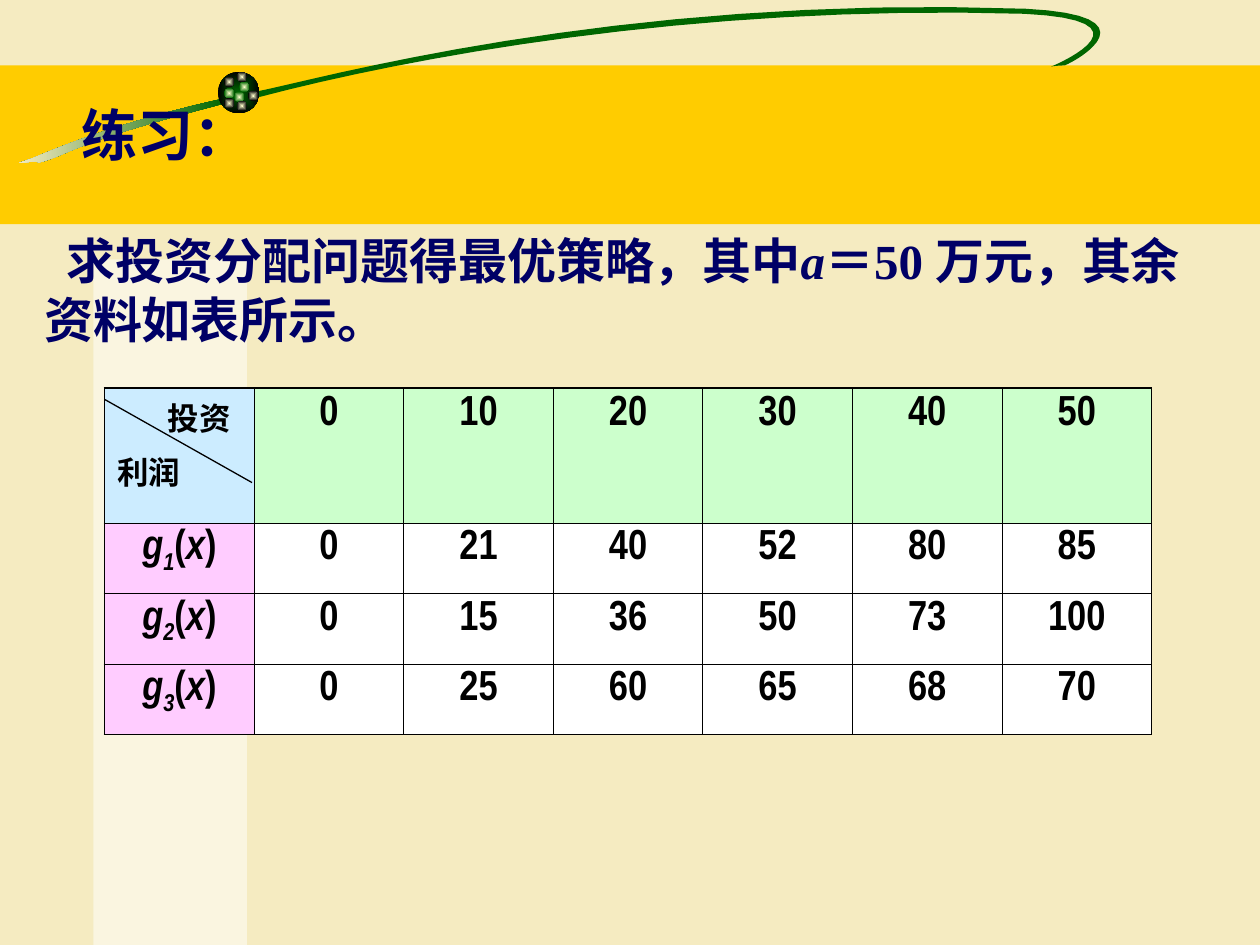
"""Build the investment allocation exercise slide with its profit table."""
import pptx
import pptx.dml.color
import pptx.enum.shapes
import pptx.enum.text
import pptx.oxml
import pptx.oxml.ns
import pptx.util

Inches, Pt = pptx.util.Inches, pptx.util.Pt
RGBColor = pptx.dml.color.RGBColor
SHAPE = pptx.enum.shapes.MSO_SHAPE
ALIGN = pptx.enum.text.PP_ALIGN
qn = pptx.oxml.ns.qn
NS = pptx.oxml.ns.nsdecls("a")

CREAM = RGBColor(0xF5, 0xEB, 0xC1)
GOLD = RGBColor(0xFF, 0xCC, 0x00)
GREEN = RGBColor(0x00, 0x66, 0x00)
GLOW = RGBColor(0xFF, 0xFF, 0xCC)
NAVY = RGBColor(0x00, 0x00, 0x66)
BLACK = RGBColor(0x00, 0x00, 0x00)
WHITE = RGBColor(0xFF, 0xFF, 0xFF)
SKY = RGBColor(0xCC, 0xEC, 0xFF)
MINT = RGBColor(0xCC, 0xFF, 0xCC)
PINK = RGBColor(0xFF, 0xCC, 0xFF)
SERIF, NARROW = "Times New Roman", "Arial Narrow"

HEADING = "练习："
QUESTION = [("求投资分配问题得最优策略，其中", False), ("a", True),
            ("＝50 万元，其余资料如表所示。", False)]
CORNER = [("投资", 0.4, 0), ("利润", 0, 4.5)]
INVESTMENTS = [0, 10, 20, 30, 40, 50]
PROFITS = [[0, 21, 40, 52, 80, 85], [0, 15, 36, 50, 73, 100], [0, 25, 60, 65, 68, 70]]

TABLE_LEFT, TABLE_TOP, TABLE_WIDTH = 0.83, 3.08, 8.31
ROW_HEIGHTS = [1.07, 0.56, 0.56, 0.56]
OUTER, INNER = 1.08, 0.45

TAIL = [(1.78, 0.78), [(0.91, 0.98), (0.49, 1.16), (0.25, 1.26)],
        [(0.01, 1.34), (0.26, 1.26), (0.31, 1.29)],
        [(0.57, 1.22), (0.57, 1.13), (1.79, 0.82)]]
LOOP = [(2.02, 0.73), [(2.46, 0.65), (4.86, -0.05), (8.14, 0.07)],
        [(9.17, 0.12), (8.57, 0.47), (8.45, 0.52)],
        [(8.45, 0.52), (8.38, 0.52), (8.34, 0.53)],
        [(8.44, 0.49), (9.16, 0.16), (8.13, 0.11)],
        [(5.48, 0.03), (3.2, 0.47), (2.06, 0.77)]]
BALL = (1.73, 0.57, 0.33, GREEN, BLACK)
SPOTS = [(1.9, 0.65, GREEN), (1.78, 0.61, BLACK), (1.78, 0.7, GREEN),
         (1.86, 0.73, GREEN), (1.97, 0.72, BLACK), (1.88, 0.8, BLACK),
         (1.78, 0.78, BLACK), (1.88, 0.57, BLACK)]


def plain(shape, color):
    shape.shadow.inherit = False
    shape.line.fill.background()
    shape.fill.solid()
    shape.fill.fore_color.rgb = color
    return shape


def shade(shape, start, end):
    shape.fill.gradient()
    for stop, color, position in zip(shape.fill.gradient_stops, (start, end), (0, 1)):
        stop.color.rgb = color
        stop.position = position


def add_rectangle(slide, left, top, width, height, color):
    box = map(Inches, (left, top, width, height))
    return plain(slide.shapes.add_shape(SHAPE.RECTANGLE, *box), color)


def add_curve(slide, start, *segments, steps=16):
    points, current = [], start
    for c1, c2, end in segments:
        for t in (i / steps for i in range(1, steps + 1)):
            weights = ((1 - t) ** 3, 3 * t * (1 - t) ** 2, 3 * t * t * (1 - t), t ** 3)
            points.append([Inches(sum(w * p[axis] for w, p in
                                      zip(weights, (current, c1, c2, end))))
                           for axis in (0, 1)])
        current = end
    builder = slide.shapes.build_freeform(Inches(start[0]), Inches(start[1]))
    builder.add_line_segments(points, close=True)
    return plain(builder.convert_to_shape(), GREEN)


def add_ball(slide, left, top, size, center, rim):
    box = map(Inches, (left, top, size, size))
    ball = plain(slide.shapes.add_shape(SHAPE.OVAL, *box), center)
    shade(ball, center, rim)
    linear = ball._element.spPr.find(qn("a:gradFill")).find(qn("a:lin"))
    linear.getparent().replace(linear, pptx.oxml.parse_xml(
        f'<a:path {NS} path="rect"><a:fillToRect l="50000" t="50000" r="50000" b="50000"/></a:path>'))


def add_run(paragraph, text, size, font, color, italic=False, subscript=False):
    run = paragraph.add_run()
    run.text = text
    run.font.size, run.font.name, run.font.bold = Pt(size), font, True
    run.font.italic = italic
    run.font.color.rgb = color
    if subscript:
        run._r.get_or_add_rPr().set("baseline", "-25000")


def indent(paragraph, first_line):
    properties = paragraph._p.get_or_add_pPr()
    properties.set("marL", "0")
    properties.set("indent", str(Inches(first_line)))
    return properties


def place_text(slide, holder, top, height, first_line, size, runs):
    holder.left, holder.top, holder.width, holder.height = map(Inches, (0.25, top, 9.5, height))
    frame = holder.text_frame
    frame.word_wrap = True
    frame.auto_size = pptx.enum.text.MSO_AUTO_SIZE.NONE
    frame.vertical_anchor = pptx.enum.text.MSO_ANCHOR.TOP
    paragraph = frame.paragraphs[0]
    indent(paragraph, first_line).append(pptx.oxml.parse_xml(f"<a:buNone {NS}/>"))
    paragraph.alignment = ALIGN.LEFT
    paragraph.space_before = Pt(0)
    for text, italic in runs:
        add_run(paragraph, text, size, SERIF, NAVY, italic)
    slide.shapes._spTree.append(holder._element)


def style_cell(cell, color, edges):
    cell.fill.solid()
    cell.fill.fore_color.rgb = color
    properties = cell._tc.get_or_add_tcPr()
    for order, (side, is_outer) in enumerate(zip("LRTB", edges)):
        width = Pt(OUTER if is_outer else INNER)
        properties.insert(order, pptx.oxml.parse_xml(
            f'<a:ln{side} {NS} w="{width}"><a:solidFill><a:srgbClr val="{BLACK}"/>'
            f'</a:solidFill></a:ln{side}>'))


def fill_corner(cell):
    frame = cell.text_frame
    for row, (label, first_line, gap) in enumerate(CORNER):
        paragraph = frame.add_paragraph() if row else frame.paragraphs[0]
        indent(paragraph, first_line)
        paragraph.space_before = Pt(gap)
        add_run(paragraph, label, 18, NARROW, BLACK)


def add_profit_table(slide):
    rows, columns = len(PROFITS) + 1, len(INVESTMENTS) + 1
    table = slide.shapes.add_table(rows, columns, Inches(TABLE_LEFT), Inches(TABLE_TOP),
                                   Inches(TABLE_WIDTH), Inches(sum(ROW_HEIGHTS))).table
    table.first_row = table.horz_banding = False
    for row, height in zip(table.rows, ROW_HEIGHTS):
        row.height = Inches(height)
    for r, values in enumerate([INVESTMENTS] + PROFITS):
        for c in range(columns):
            cell = table.cell(r, c)
            color = (PINK if r else SKY) if c == 0 else (WHITE if r else MINT)
            style_cell(cell, color, (c == 0, c == columns - 1, r == 0, r == rows - 1))
            if r == c == 0:
                fill_corner(cell)
                continue
            paragraph = cell.text_frame.paragraphs[0]
            paragraph.alignment = ALIGN.CENTER
            parts = [(str(values[c - 1]), False, False)] if c else [
                ("g", True, False), (str(r), True, True), ("(", False, False),
                ("x", True, False), (")", False, False)]
            for text, italic, subscript in parts:
                add_run(paragraph, text, 24, NARROW, BLACK, italic, subscript)


def main():
    deck = pptx.Presentation()
    deck.slide_width, deck.slide_height = Inches(10), Inches(7.5)
    slide = deck.slides.add_slide(deck.slide_layouts[1])
    slide.background.fill.solid()
    slide.background.fill.fore_color.rgb = CREAM

    add_rectangle(slide, 0, 0.52, 10, 1.26, GOLD)
    tail = add_curve(slide, *TAIL)
    shade(tail, GREEN, CREAM)
    tail.fill.gradient_angle = 180
    add_curve(slide, *LOOP)
    add_ball(slide, *BALL)
    for left, top, rim in SPOTS:
        add_ball(slide, left, top, 0.08, GLOW, rim)
    stripe = add_rectangle(slide, 0.74, 2.06, 1.22, 5.44, WHITE)
    white = stripe._element.spPr.find(qn("a:solidFill")).find(qn("a:srgbClr"))
    white.append(pptx.oxml.parse_xml(f'<a:alpha {NS} val="50000"/>'))

    title, body = slide.placeholders
    place_text(slide, title, 0.75, 0.65, 0.3, 32, [(HEADING, False)])
    place_text(slide, body, 1.78, 1.01, 0.18, 28, QUESTION)
    add_profit_table(slide)
    diagonal = slide.shapes.add_connector(pptx.enum.shapes.MSO_CONNECTOR.STRAIGHT,
                                          *map(Inches, (2, 3.83, 0.83, 3.17)))
    diagonal.line.color.rgb = BLACK
    diagonal.line.width = Pt(0.75)
    diagonal._element.spPr.append(pptx.oxml.parse_xml(f"<a:effectLst {NS}/>"))
    deck.save("out.pptx")


if __name__ == "__main__":
    main()
